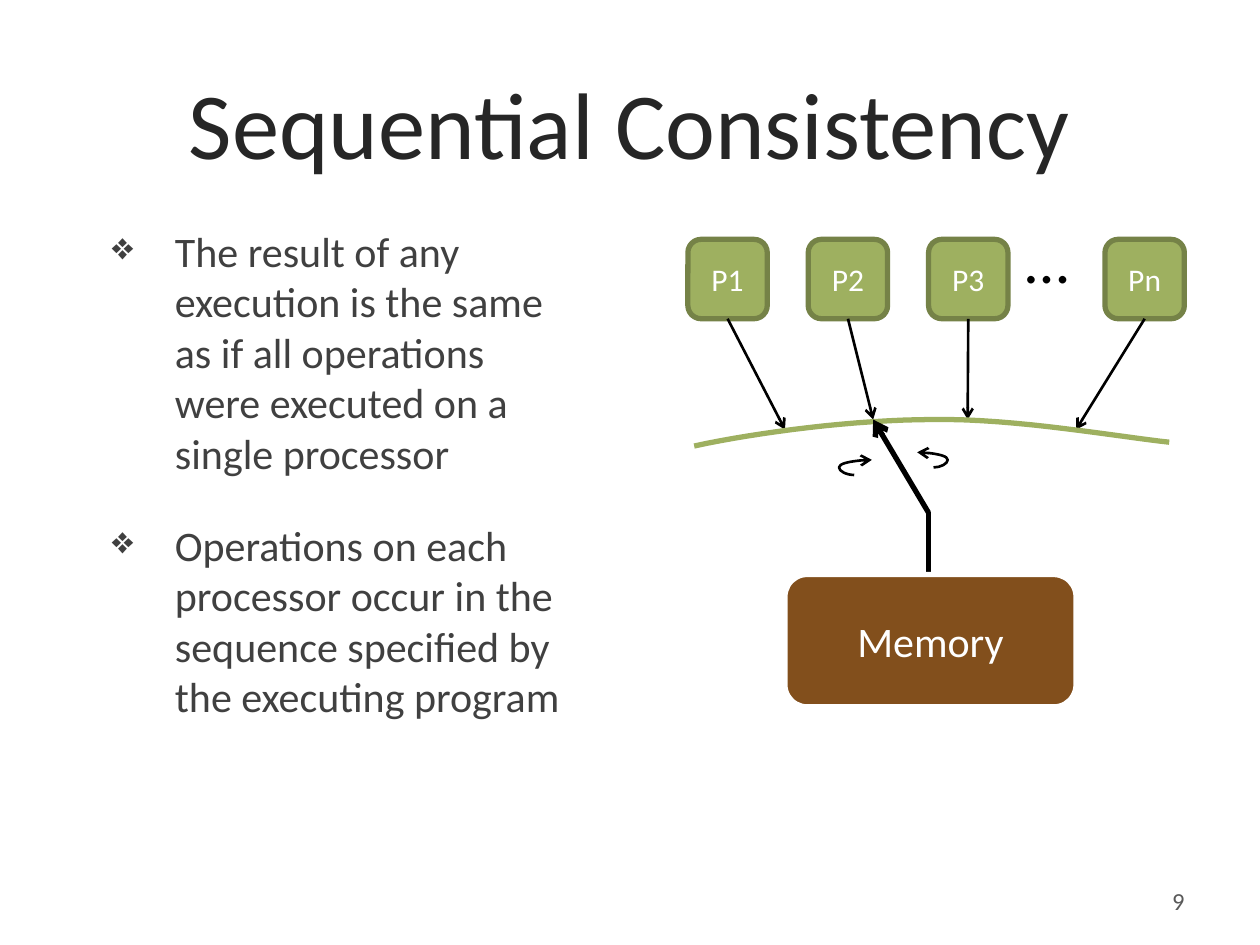
from lxml import etree
from pptx import Presentation
from pptx.dml.color import RGBColor
from pptx.enum.shapes import MSO_CONNECTOR, MSO_SHAPE
from pptx.enum.text import MSO_ANCHOR, PP_ALIGN
from pptx.oxml.ns import qn
from pptx.util import Inches, Pt

FONT = "Calibri"
COLORS = {
    "title": "262626", "body": "404040", "number": "595959",
    "processor": "9EB060", "processor_edge": "758247",
    "memory": "824F1C", "white": "FFFFFF", "black": "000000",
}


def rgb(name):
    return RGBColor.from_string(COLORS[name])


def add_run(paragraph, text, size, color):
    run = paragraph.add_run()
    run.text = text
    run.font.name, run.font.size = FONT, Pt(size)
    run.font.color.rgb = rgb(color)


def add_text(slide, box, text, size, color, align=PP_ALIGN.LEFT, anchor=MSO_ANCHOR.MIDDLE):
    frame = slide.shapes.add_textbox(*map(Inches, box)).text_frame
    frame.word_wrap = True
    frame.vertical_anchor = anchor
    frame.paragraphs[0].alignment = align
    add_run(frame.paragraphs[0], text, size, color)


def add_block(slide, box, label, size, fill, edge):
    block = slide.shapes.add_shape(MSO_SHAPE.ROUNDED_RECTANGLE, *map(Inches, box))
    block.shadow.inherit = False
    block.fill.solid()
    block.fill.fore_color.rgb = rgb(fill)
    block.line.color.rgb = rgb(edge)
    block.line.width = Pt(3)
    frame = block.text_frame
    frame.vertical_anchor = MSO_ANCHOR.MIDDLE
    frame.paragraphs[0].alignment = PP_ALIGN.CENTER
    add_run(frame.paragraphs[0], label, size, "white")


def add_line(slide, start, end, width=1.5, arrow=True, bend=None):
    """Draw a straight line, or a curved one when bend is given."""
    kind = MSO_CONNECTOR.STRAIGHT if bend is None else MSO_CONNECTOR.CURVE
    line = slide.shapes.add_connector(kind, *map(Inches, (*start, *end)))
    line.line.color.rgb = rgb("black")
    line.line.width = Pt(width)
    properties = line._element.spPr
    if arrow:
        etree.SubElement(line.line._get_or_add_ln(), qn("a:tailEnd"), type="arrow")
    etree.SubElement(properties, qn("a:effectLst"))
    if bend is not None:
        guides = properties.find(qn("a:prstGeom")).get_or_add_avLst()
        etree.SubElement(guides, qn("a:gd"), name="adj1", fmla=f"val {bend}")


def add_bullets(slide, box, items):
    frame = slide.shapes.add_textbox(*map(Inches, box)).text_frame
    frame.word_wrap = True
    for index, lines in enumerate(items):
        paragraph = frame.add_paragraph() if index else frame.paragraphs[0]
        paragraph.space_before = Pt(24)
        properties = paragraph._p.get_or_add_pPr()
        properties.set("marL", str(Inches(0.5)))
        properties.set("indent", str(-Inches(0.5)))
        etree.SubElement(properties, qn("a:buSzPct"), val="90000")
        etree.SubElement(properties, qn("a:buChar"), char="❖")
        for number, line in enumerate(lines):
            if number:
                paragraph.add_line_break()
            add_run(paragraph, line, 24, "body")


def add_processors(slide, left, top):
    """Row of processors, each with an arrow down to the switch arc."""
    side, pitch = 0.63, 0.955
    processors = [  # label, offset, arrow tip
        ("P1", 0, (0.77, 1.51)),
        ("P2", pitch, (1.47, 1.43)),
        ("P3", 2 * pitch, (2.22, 1.43)),
        ("Pn", 3.31, (3.08, 1.51)),
    ]
    for label, offset, (tip_x, tip_y) in processors:
        add_block(slide, (left + offset, top, side, side), label, 18,
                  "processor", "processor_edge")
        add_line(slide, (left + offset + side / 2, top + side),
                 (left + tip_x, top + tip_y))
    add_text(slide, (left + 2.58, top - 0.2, 0.7, 0.71), "…", 36, "black",
             anchor=MSO_ANCHOR.TOP)


def bezier(points, steps=16):
    """Points along a cubic curve, without its start."""
    for step in range(1, steps + 1):
        t = step / steps
        weights = ((1 - t) ** 3, 3 * t * (1 - t) ** 2, 3 * t * t * (1 - t), t ** 3)
        yield tuple(sum(w * p[axis] for w, p in zip(weights, points)) for axis in (0, 1))


def add_switch(slide, left, top):
    """Arc of contacts, the switch arm and its two turning arrows."""
    def at(x, y):
        return left + x, top + y

    knots = [at(0, 0.21), at(0.51, 0.1), at(1.28, 0), at(1.91, 0),
             at(2.54, -0.01), at(3.39, 0.14), at(3.77, 0.18)]
    curve = [*bezier(knots[:4]), *bezier(knots[3:])]
    builder = slide.shapes.build_freeform(*map(Inches, knots[0]), scale=1.0)
    builder.add_line_segments([tuple(map(Inches, point)) for point in curve], close=False)
    arc = builder.convert_to_shape()
    arc.shadow.inherit = False
    arc.fill.background()
    arc.line.color.rgb = rgb("processor")
    arc.line.width = Pt(3)

    # Arm
    add_line(slide, at(1.86, 1.48), at(1.86, 0.73), width=3, arrow=False)
    add_line(slide, at(1.86, 0.74), at(1.42, 0), width=3)
    # Turning arrows
    add_line(slide, at(1.9, 0.38), at(1.77, 0.26), bend=-86400)
    add_line(slide, at(1.27, 0.44), at(1.41, 0.32), bend=-86400)


def main():
    prs = Presentation()
    prs.slide_width, prs.slide_height = Inches(10), Inches(7.5)
    slide = prs.slides.add_slide(prs.slide_layouts[6])

    add_text(slide, (0.79, 0.34, 8.41, 1.25), "Sequential Consistency", 54, "title",
             PP_ALIGN.CENTER)
    add_bullets(slide, (0.79, 1.74, 4.13, 5.01), [
        ["The result of any execution is the same ", "as if all operations ",
         "were executed on a single processor"],
        ["Operations on each processor occur in the sequence specified by "
         "the executing program"],
    ])
    add_processors(slide, 5.46, 1.9)
    add_switch(slide, 5.51, 3.33)
    add_block(slide, (6.23, 4.56, 2.31, 1.05), "Memory", 24, "memory", "white")
    add_text(slide, (7.17, 6.95, 2.33, 0.4), "9", 14, "number", PP_ALIGN.RIGHT)

    prs.save("out.pptx")


if __name__ == "__main__":
    main()
